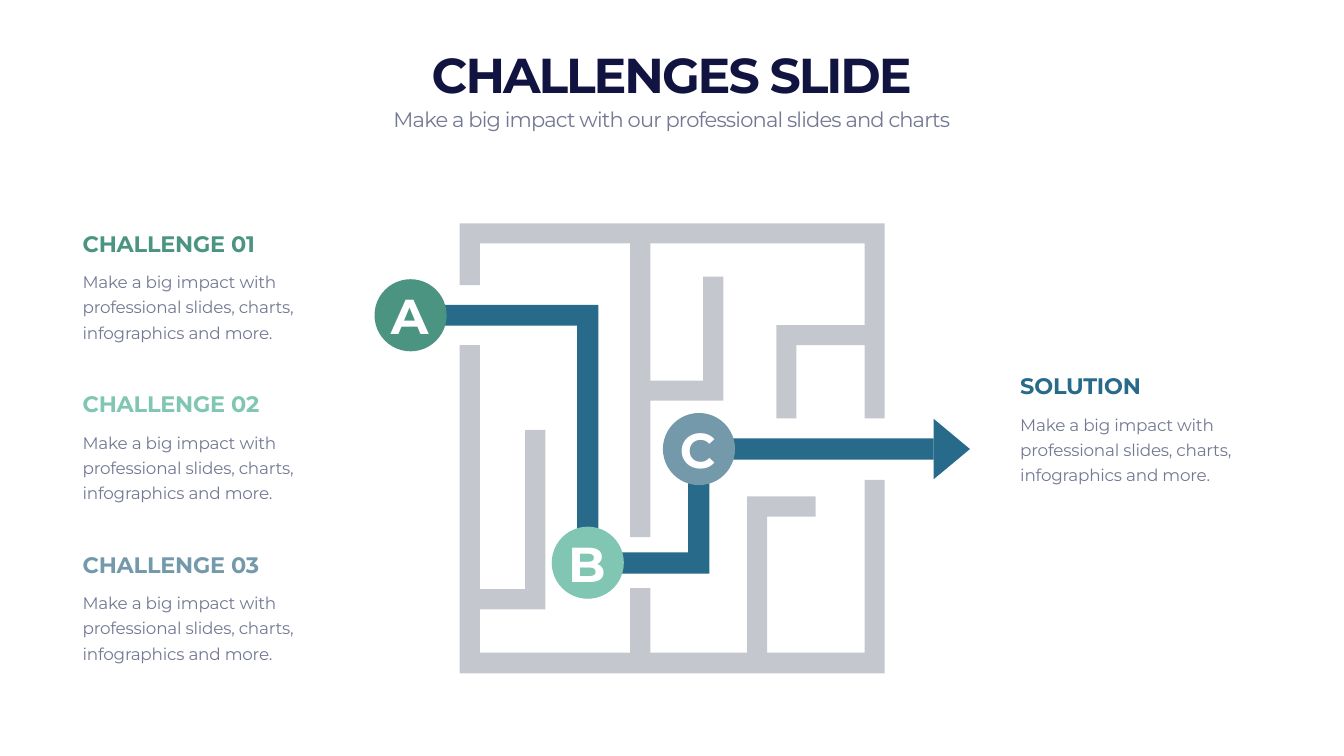
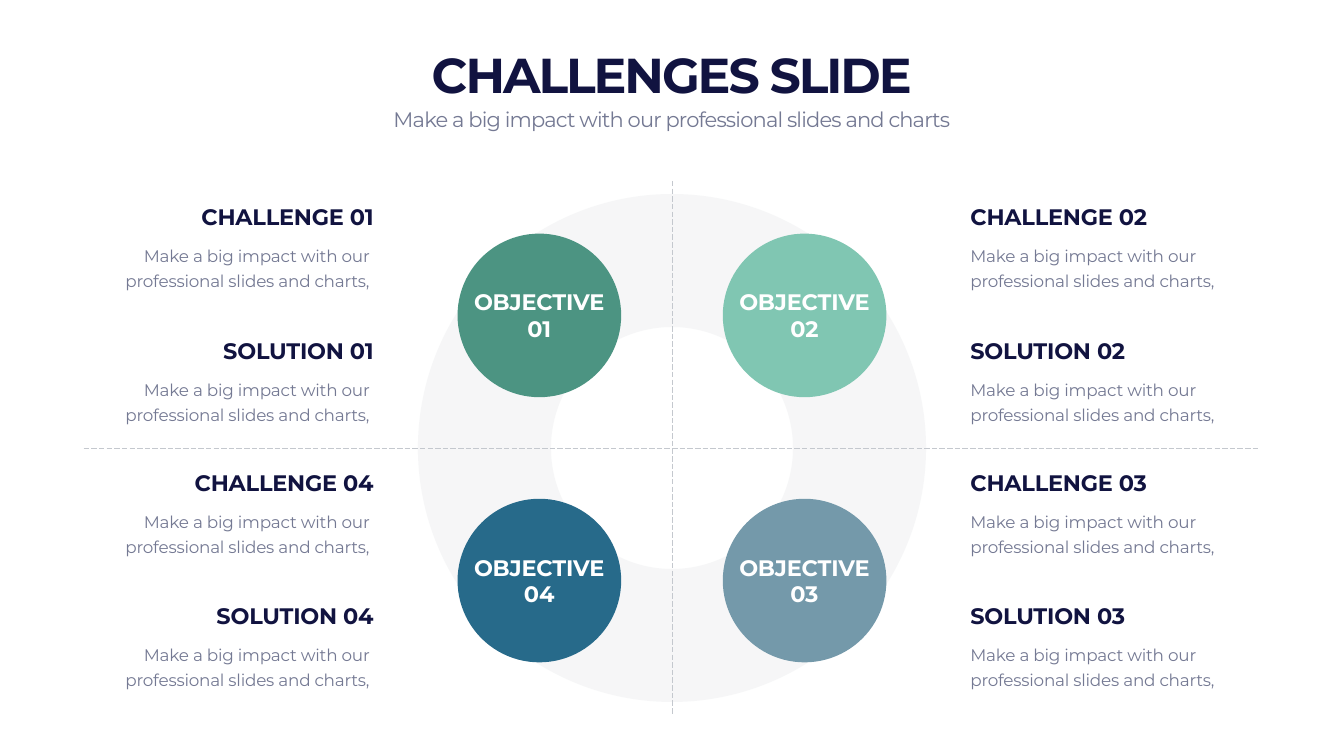
from lxml import etree
from pptx import Presentation
from pptx import util as u
from pptx.dml.color import RGBColor
from pptx.enum import dml, shapes, text
from pptx.oxml.ns import qn

WIDTH, HEIGHT = 1919.52, 1080
FONT = "Montserrat"
NAVY, GRAY, WALL, WHITE = "111340", "747993", "C4C8CE", "FFFFFF"
GREEN, MINT, STEEL, BLUE = "4C9482", "80C6B2", "7499AA", "276A8A"
LEFT, CENTER, RIGHT = text.PP_ALIGN.LEFT, text.PP_ALIGN.CENTER, text.PP_ALIGN.RIGHT
TOP, MIDDLE, BOTTOM = text.MSO_ANCHOR.TOP, text.MSO_ANCHOR.MIDDLE, text.MSO_ANCHOR.BOTTOM


def color(value):
    return RGBColor.from_string(value)


def points(*values):
    return [u.Pt(value) for value in values]


class Deck:
    """Holds the shared style and the slide being built."""

    def __init__(self):
        self.presentation = Presentation()
        self.presentation.slide_width, self.presentation.slide_height = points(WIDTH, HEIGHT)
        self.slide = None

    def add_slide(self, title, subtitle):
        self.slide = self.presentation.slides.add_slide(self.presentation.slide_layouts[0])
        heading, tagline = self.slide.placeholders
        self.place(heading, 119.5, 59, 1680, 92.2)
        self.set_text(heading, [title], 70, NAVY, True, -2.9, CENTER, BOTTOM)
        self.place(tagline, 119.5, 148.3, 1680, 44)
        self.set_text(tagline, [subtitle], 30, GRAY, False, -1.2, CENTER, TOP)

    def place(self, shape, left, top, width, height):
        shape.left, shape.top, shape.width, shape.height = points(left, top, width, height)

    def set_text(self, shape, lines, size, ink, bold, spacing, align, anchor, leading=None):
        frame = shape.text_frame
        frame.auto_size = text.MSO_AUTO_SIZE.NONE
        frame.word_wrap = True
        frame.vertical_anchor = anchor
        for index, line in enumerate(lines):
            paragraph = frame.add_paragraph() if index else frame.paragraphs[0]
            paragraph.alignment = align
            paragraph.space_before = u.Pt(0)
            if leading:
                paragraph.line_spacing = u.Pt(leading)
            run = paragraph.add_run()
            run.text = line
            run.font.name = FONT
            run.font.size = u.Pt(size)
            run.font.bold = bold
            run.font.color.rgb = color(ink)
            run._r.get_or_add_rPr().set("spc", str(round(spacing * 100)))
        return frame

    def text_box(self, left, top, width, height, *style):
        box = self.slide.shapes.add_textbox(*points(left, top, width, height))
        return self.set_text(box, *style)

    def topic(self, left, top, width, heading, body, ink=NAVY, align=LEFT, height=77):
        self.text_box(left, top, width, 46, [heading], 32, ink, True, -0.3, align, BOTTOM)
        frame = self.text_box(left, top + 53.6, width, height,
                              [body], 24, GRAY, False, -0.3, align, TOP, 36)
        if align == RIGHT:
            frame.margin_right = u.Pt(13)

    def oval(self, center_x, center_y, diameter):
        shape = self.slide.shapes.add_shape(
            shapes.MSO_SHAPE.OVAL,
            *points(center_x - diameter / 2, center_y - diameter / 2, diameter, diameter))
        shape.shadow.inherit = False
        return shape

    def disc(self, center_x, center_y, diameter, fill, lines, size, spacing):
        shape = self.oval(center_x, center_y, diameter)
        shape.fill.solid()
        shape.fill.fore_color.rgb = color(fill)
        shape.line.fill.background()
        frame = self.set_text(shape, lines, size, WHITE, True, spacing, CENTER, MIDDLE)
        frame.word_wrap = False
        frame.margin_left = frame.margin_top = frame.margin_bottom = 0
        frame.margin_right = u.Pt(-spacing)

    def ring(self, center_x, center_y, diameter, thickness):
        shape = self.oval(center_x, center_y, diameter)
        shape.fill.background()
        shape.line.width = u.Pt(thickness)
        shape.line.color.rgb = color(WALL)
        solid = shape.line._ln.find(qn("a:solidFill"))
        etree.SubElement(solid[0], qn("a:alpha"), val="15000")

    def polygon(self, fill, *outlines):
        first, *others = [[points(*corner) for corner in outline] for outline in outlines]
        builder = self.slide.shapes.build_freeform(*first[0])
        builder.add_line_segments(first[1:], close=True)
        for outline in others:
            builder.move_to(*outline[0])
            builder.add_line_segments(outline[1:], close=True)
        shape = builder.convert_to_shape()
        shape.shadow.inherit = False
        shape.fill.solid()
        shape.fill.fore_color.rgb = color(fill)
        shape.line.fill.background()

    def dashed_line(self, *ends):
        line = self.slide.shapes.add_connector(shapes.MSO_CONNECTOR.STRAIGHT, *points(*ends))
        line.line.color.rgb = color(WALL)
        line.line.width = u.Pt(1)
        line.line.dash_style = dml.MSO_LINE.LONG_DASH
        etree.SubElement(line._element.spPr, qn("a:effectLst"))


TITLE = "CHALLENGES SLIDE"
SUBTITLE = "Make a big impact with our professional slides and charts"

LOWER_WALLS = [
    (656.6, 493.2), (685.4, 493.2), (685.4, 841.7), (750.2, 841.7), (750.2, 614.2),
    (779, 614.2), (779, 870.5), (685.4, 870.5), (685.4, 932.4), (900, 932.4),
    (900, 840.2), (928.8, 840.2), (928.8, 932.4), (1067, 932.4), (1067, 709.2),
    (1165, 709.2), (1165, 738), (1095.8, 738), (1095.8, 932.4), (1234.8, 932.4),
    (1234.8, 685.4), (1263.6, 685.4), (1263.6, 961.9), (656.6, 961.9)]
UPPER_WALLS = [
    (656.6, 319), (1263.6, 319), (1263.6, 597.6), (1234.8, 597.6), (1234.8, 493.2),
    (1137.6, 493.2), (1137.6, 597.6), (1108.8, 597.6), (1108.8, 464.4), (1234.8, 464.4),
    (1234.8, 347.8), (928.8, 347.8), (928.8, 543.6), (1004.4, 543.6), (1004.4, 395.3),
    (1033.2, 395.3), (1033.2, 572.4), (928.8, 572.4), (928.8, 767.5), (900, 767.5),
    (900, 347.8), (685.4, 347.8), (685.4, 407.5), (656.6, 407.5)]
ROUTE = [
    (1013, 819.4), (824.4, 819.4), (824.4, 465.1), (586.8, 465.1), (586.8, 435.6),
    (854.6, 435.6), (854.6, 789.1), (982.8, 789.1), (982.8, 626.4), (1333.4, 626.4),
    (1333.4, 656.6), (1013, 656.6)]
ARROWHEAD = [(1385.3, 641.5), (1333.4, 598.3), (1333.4, 684.7)]


def build_maze(deck):
    deck.add_slide(TITLE, SUBTITLE)
    deck.polygon(WALL, LOWER_WALLS, UPPER_WALLS)
    deck.polygon(BLUE, ROUTE)
    deck.polygon(BLUE, ARROWHEAD)
    stops = [("A", 586.4, 450.4, GREEN), ("B", 839.5, 803.9, MINT), ("C", 998.3, 641.5, STEEL)]
    body = "Make a big impact with professional slides, charts, infographics and more."
    for index, (letter, center_x, center_y, ink) in enumerate(stops):
        deck.disc(center_x, center_y, 103, ink, [letter], 70, -2.9)
        deck.topic(110.9, 324 + 229.4 * index, 350, f"CHALLENGE 0{index + 1}", body, ink,
                   height=113)
    deck.topic(1450, 528, 350, "SOLUTION", body, BLUE, height=113)


def build_objectives(deck):
    deck.add_slide(TITLE, SUBTITLE)
    center_x, center_y, offset = WIDTH / 2, 640, 189.4
    deck.ring(center_x, center_y, 535.7, 190)
    deck.dashed_line(center_x, 258.5, center_x, 1020.2)
    deck.dashed_line(119.5, 640.8, 1800, 640.8)
    quadrants = [("01", -1, -1, GREEN), ("02", 1, -1, MINT), ("03", 1, 1, STEEL), ("04", -1, 1, BLUE)]
    for number, side, level, fill in quadrants:
        deck.disc(center_x + side * offset, center_y + level * offset, 233.7, fill,
                  ["OBJECTIVE", number], 32, -0.3)
        left, align = (133.9, RIGHT) if side < 0 else (1378.8, LEFT)
        tops = (286, 477.4) if level < 0 else (666.7, 856.1)
        for label, top in zip(("CHALLENGE", "SOLUTION"), tops):
            deck.topic(left, top, 406.8, f"{label} {number}", f"{SUBTITLE},", align=align)


def main():
    deck = Deck()
    build_maze(deck)
    build_objectives(deck)
    deck.presentation.save("out.pptx")


if __name__ == "__main__":
    main()
